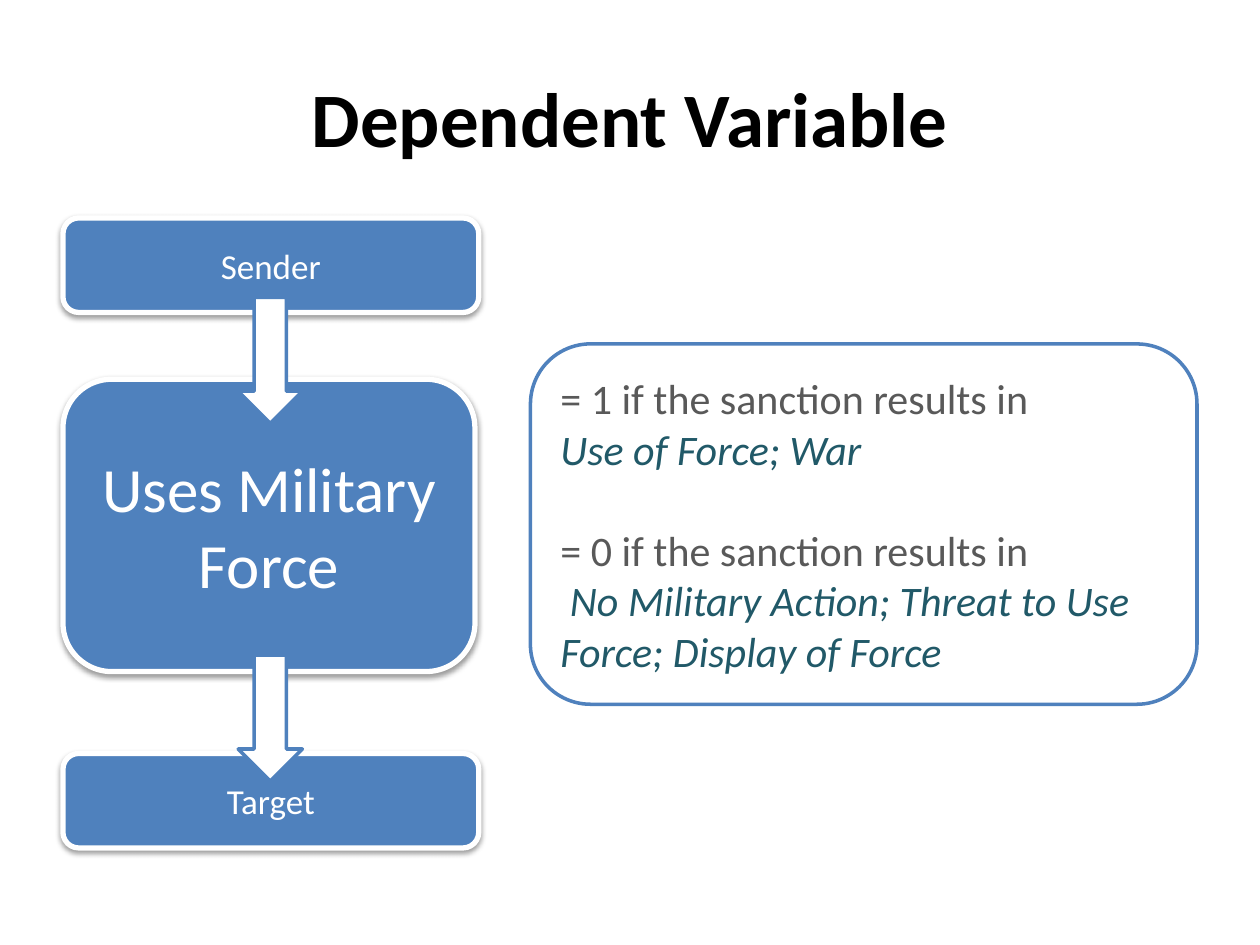
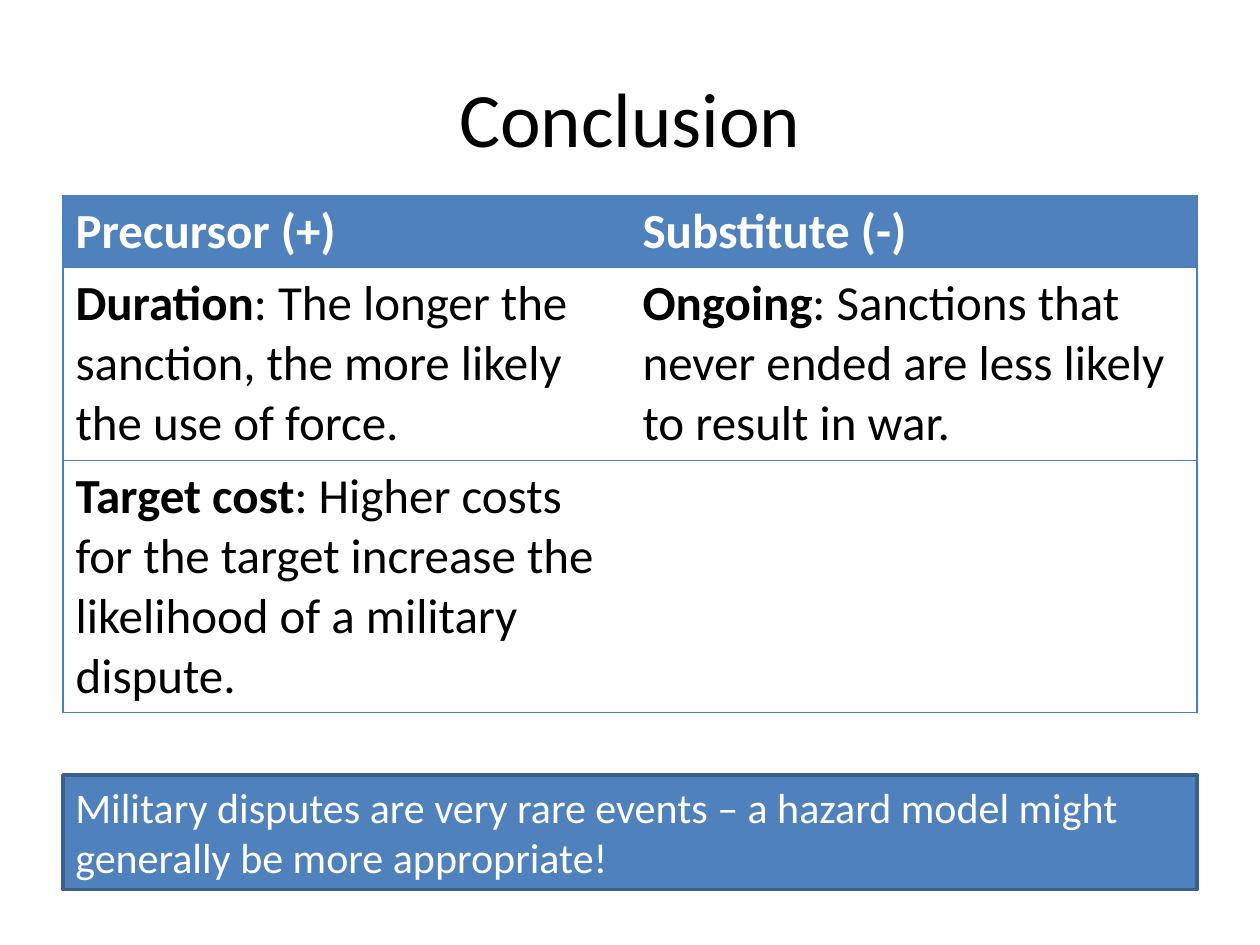
from lxml.etree import SubElement
from pptx import Presentation
from pptx.dml.color import RGBColor
from pptx.enum.shapes import MSO_SHAPE
from pptx.enum.text import MSO_ANCHOR, PP_ALIGN
from pptx.oxml.ns import qn
from pptx.util import Inches, Pt

FONT = "Calibri"
BLACK = RGBColor(0x00, 0x00, 0x00)
WHITE = RGBColor(0xFF, 0xFF, 0xFF)
BLUE = RGBColor(0x4F, 0x81, 0xBD)
DARK_BLUE = RGBColor(0x3A, 0x5F, 0x8C)
GRID_BLUE = RGBColor(0x4B, 0x7E, 0xBC)
GREY = RGBColor(0x59, 0x59, 0x59)
TEAL = RGBColor(0x21, 0x59, 0x68)

MARGIN = 0.5
CONTENT_WIDTH = 9
TITLE_ONLY = 5
NO_TABLE_STYLE = "{2D5ABB26-0587-4C30-8999-92F81FD0307C}"

CODING_RULES = [
    ("= 1 if the sanction results in", "Use of Force; War"),
    ("= 0 if the sanction results in",
     " No Military Action; Threat to Use Force; Display of Force"),
]
HEADINGS = ["Precursor (+)", "Substitute (-)"]
FINDINGS = [
    [("Duration", ": The longer the sanction, the more likely the use of force."),
     ("Ongoing", ": Sanctions that never ended are less likely to result in war.")],
    [("Target cost", ": Higher costs for the target increase the likelihood "
                     "of a military dispute."), None],
]
ROW_HEIGHTS = [0.57, 1.53, 2.0]


def format_run(run, size, color, bold=False, italic=False):
    """Apply the deck font to one run."""
    run.font.name = FONT
    run.font.size = Pt(size)
    run.font.color.rgb = color
    run.font.bold = bold
    run.font.italic = italic


def add_titled_slide(deck, title, bold=False):
    """Add a slide with the shared title style."""
    slide = deck.slides.add_slide(deck.slide_layouts[TITLE_ONLY])
    heading = slide.shapes.title
    heading.left, heading.top = Inches(MARGIN), Inches(0.3)
    heading.width, heading.height = Inches(CONTENT_WIDTH), Inches(1.25)
    heading.text_frame.text = title
    paragraph = heading.text_frame.paragraphs[0]
    paragraph.alignment = PP_ALIGN.CENTER
    format_run(paragraph.runs[0], 44, BLACK, bold)
    return slide


def add_box(slide, preset, left, top, width, height, fill, line, line_width=2):
    """Add a flat preset shape with a fill and an outline."""
    box = slide.shapes.add_shape(
        preset, Inches(left), Inches(top), Inches(width), Inches(height))
    box.shadow.inherit = False
    box.fill.solid()
    box.fill.fore_color.rgb = fill
    box.line.color.rgb = line
    box.line.width = Pt(line_width)
    return box


def add_drop_shadow(box):
    """Give a box a soft shadow below it."""
    effects = box._element.spPr.find(qn("a:effectLst"))
    shadow = SubElement(effects, qn("a:outerShdw"), blurRad=str(Pt(3.1)),
                        dist=str(Pt(1.6)), dir="5400000", rotWithShape="0")
    color = SubElement(shadow, qn("a:srgbClr"), val=str(BLACK))
    SubElement(color, qn("a:alpha"), val="38000")


def add_stage(slide, label, top, width, height, size):
    """Add one stage of the sanction process."""
    stage = add_box(slide, MSO_SHAPE.ROUNDED_RECTANGLE, MARGIN, top, width,
                    height, BLUE, WHITE, 3)
    add_drop_shadow(stage)
    stage.text_frame.text = label
    paragraph = stage.text_frame.paragraphs[0]
    paragraph.alignment = PP_ALIGN.CENTER
    format_run(paragraph.runs[0], size, WHITE)


def add_coding_rules(slide):
    """Add the panel that says how the variable is coded."""
    panel = add_box(slide, MSO_SHAPE.ROUNDED_RECTANGLE, 4.21, 2.73, 5.29, 2.86,
                    WHITE, BLUE)
    frame = panel.text_frame
    frame.text = "\n".join(line for rule in CODING_RULES for line in rule)
    for index, paragraph in enumerate(frame.paragraphs):
        is_outcome = index % 2 == 1
        paragraph.alignment = PP_ALIGN.LEFT
        format_run(paragraph.runs[0], 24, TEAL if is_outcome else GREY,
                   italic=is_outcome)
    frame.paragraphs[2].space_before = Pt(29)


def set_borders(cell, sides):
    """Draw the named sides of a cell, in the order L, R, T, B."""
    properties = cell._tc.get_or_add_tcPr()
    for side in sides:
        line = SubElement(properties, qn(f"a:ln{side}"), w=str(Pt(0.75)))
        fill = SubElement(line, qn("a:solidFill"))
        SubElement(fill, qn("a:srgbClr"), val=str(GRID_BLUE))


def fill_cell(cell, parts, color):
    """Write a bold lead and an optional plain continuation."""
    paragraph = cell.text_frame.paragraphs[0]
    for index, part in enumerate(parts):
        run = paragraph.add_run()
        run.text = part
        format_run(run, 28, color, bold=index == 0)


def add_findings(slide):
    """Add the table of precursor and substitute findings."""
    rows = [[(heading,) for heading in HEADINGS]] + FINDINGS
    table = slide.shapes.add_table(
        len(rows), len(HEADINGS), Inches(MARGIN), Inches(1.55),
        Inches(CONTENT_WIDTH), Inches(sum(ROW_HEIGHTS))).table
    table._tbl.tblPr.find(qn("a:tableStyleId")).text = NO_TABLE_STYLE
    table.horz_banding = False
    for row_index, findings in enumerate(rows):
        is_header = row_index == 0
        table.rows[row_index].height = Inches(ROW_HEIGHTS[row_index])
        for column, finding in enumerate(findings):
            cell = table.cell(row_index, column)
            set_borders(cell, "LR"[column] + "TB")
            cell.fill.solid()
            cell.fill.fore_color.rgb = BLUE if is_header else WHITE
            fill_cell(cell, finding or (), WHITE if is_header else BLACK)


def add_closing_note(slide, note):
    """Add the full-width band with the closing remark."""
    band = add_box(slide, MSO_SHAPE.RECTANGLE, MARGIN, 6.15, CONTENT_WIDTH, 0.91,
                   BLUE, DARK_BLUE)
    frame = band.text_frame
    frame.text = note
    frame.word_wrap = True
    frame.vertical_anchor = MSO_ANCHOR.TOP
    frame.paragraphs[0].alignment = PP_ALIGN.LEFT
    format_run(frame.paragraphs[0].runs[0], 24, WHITE)


def main():
    """Build both slides and save the deck."""
    deck = Presentation()
    deck.slide_width, deck.slide_height = Inches(10), Inches(7.5)

    variable = add_titled_slide(deck, "Dependent Variable", bold=True)
    add_stage(variable, "Uses Military Force", 3.01, 3.27, 2.32, 36)
    add_stage(variable, "Sender", 1.73, 3.3, 0.75, 20)
    add_stage(variable, "Target", 5.98, 3.3, 0.75, 20)
    for top in (2.36, 5.2):
        add_box(variable, MSO_SHAPE.DOWN_ARROW, 1.89, top, 0.51, 1, WHITE, BLUE)
    add_coding_rules(variable)

    conclusion = add_titled_slide(deck, "Conclusion")
    add_findings(conclusion)
    add_closing_note(conclusion, "Military disputes are very rare events – a hazard "
                                 "model might generally be more appropriate!")
    deck.save("out.pptx")


if __name__ == "__main__":
    main()
